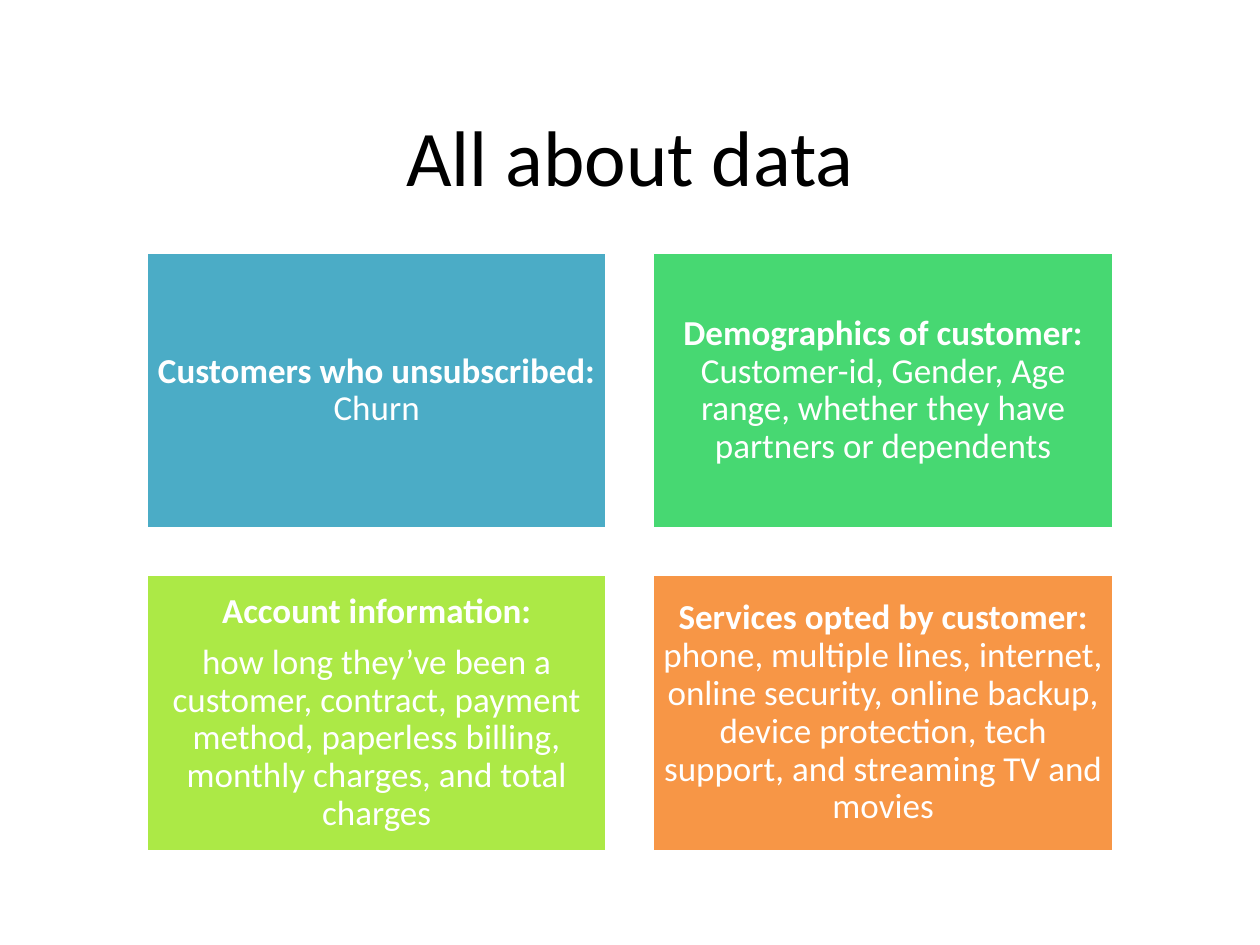
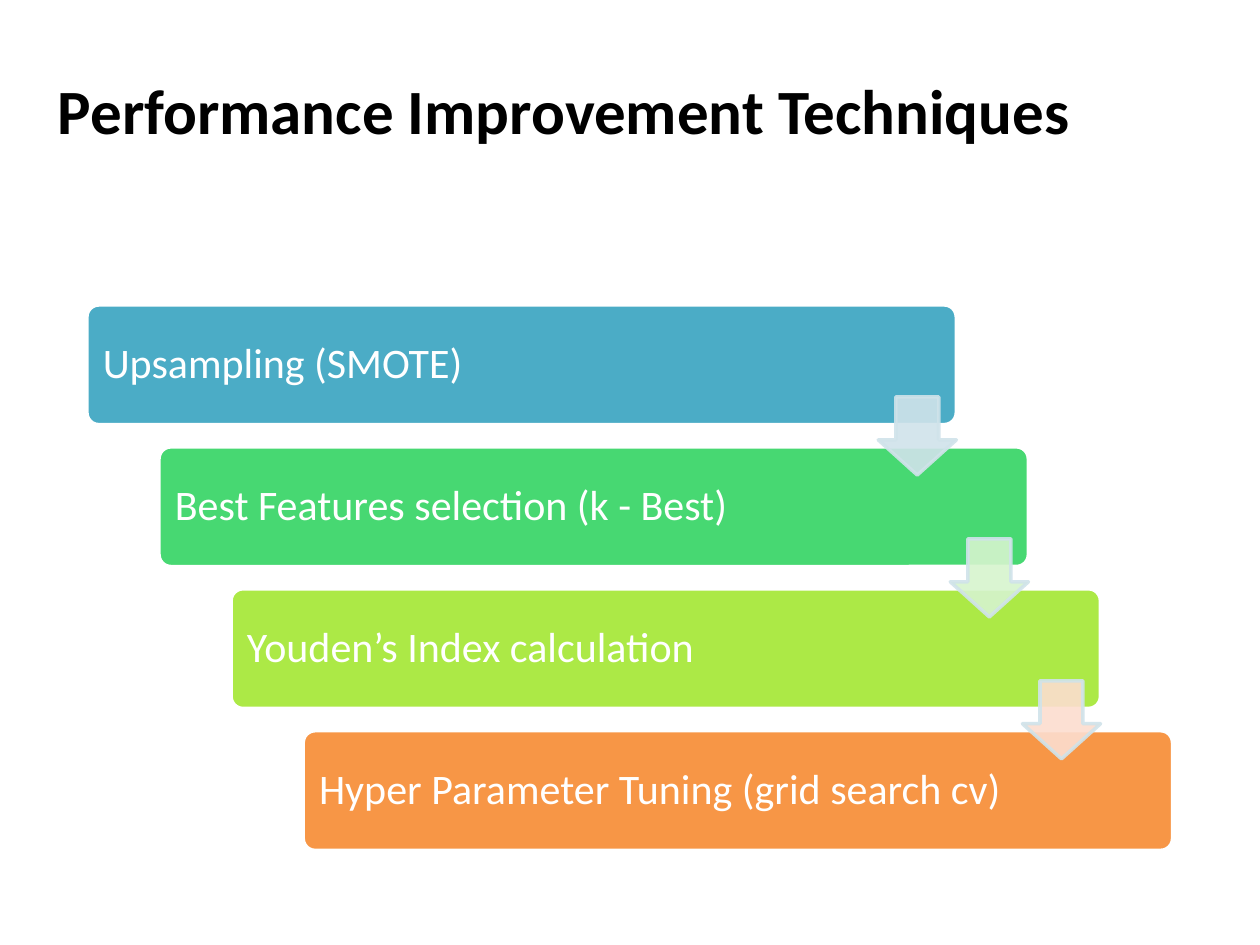
from lxml import etree
from pptx import Presentation
from pptx.dml.color import RGBColor
from pptx.enum.shapes import MSO_SHAPE
from pptx.enum.text import MSO_ANCHOR, PP_ALIGN
from pptx.oxml.ns import qn
from pptx.util import Pt

RECT, ROUNDED, ARROW = MSO_SHAPE.RECTANGLE, MSO_SHAPE.ROUNDED_RECTANGLE, MSO_SHAPE.DOWN_ARROW
LEFT, CENTER, MIDDLE = PP_ALIGN.LEFT, PP_ALIGN.CENTER, MSO_ANCHOR.MIDDLE

FONT, BLACK, WHITE = "Calibri", "000000", "FFFFFF"
ACCENTS = ["4BACC6", "47D872", "ACE946", "F79646"]
ARROW_FILLS, ARROW_LINE = ["D0E3EA", "D6F4CE", "FCDDCF"], "D0E3EA"
ARROW_OPACITY = 90

DATA_GROUPS = [
    [[("Customers who unsubscribed:", True), (" Churn", False)]],
    [[("Demographics of customer:", True),
      (" Customer-id, Gender, Age range, whether they have partners or dependents", False)]],
    [[("Account information:", True)],
     [("how long they’ve been a customer, contract, payment method, "
       "paperless billing, monthly charges, and total charges", False)]],
    [[("Services opted by customer:", True),
      (" phone, multiple lines, internet, online security, online backup, "
       "device protection, tech support, and streaming TV and movies", False)]],
]
TECHNIQUES = [
    "Upsampling (SMOTE)",
    "Best Features selection (k - Best)",
    "Youden’s Index calculation",
    "Hyper Parameter Tuning (grid search cv)",
]

TITLE_SIZE, TITLE_MARGINS = (620.64, 89.28), (9.36, 5.04)
CARD_ORIGIN, CARD_SIZE, CARD_GAP = (83.52, 144), (263.52, 158.4), 25.92
STEP_ORIGIN, STEP_SIZE, STEP_SHIFT = (49.68, 174.24), (496.8, 68.4), (41.2, 81.1)
ARROW_SIDE, ARROW_DROP = 44.64, 52.56


def color(value):
    return RGBColor.from_string(value)


def write(holder, paragraphs, size, ink, align, margins, line_spacing=1.0, space_after=0):
    frame = holder.text_frame
    across, down = margins
    frame_format = {
        "word_wrap": True, "vertical_anchor": MIDDLE,
        "margin_left": Pt(across), "margin_right": Pt(across),
        "margin_top": Pt(down), "margin_bottom": Pt(down),
    }
    for name, value in frame_format.items():
        setattr(frame, name, value)
    paragraph_format = {"alignment": align, "line_spacing": line_spacing,
                        "space_after": Pt(space_after)}
    for index, runs in enumerate(paragraphs):
        paragraph = frame.add_paragraph() if index else frame.paragraphs[0]
        for name, value in paragraph_format.items():
            setattr(paragraph, name, value)
        for text, bold in runs:
            run = paragraph.add_run()
            run.text = text
            for name, value in {"name": FONT, "size": Pt(size), "bold": bold}.items():
                setattr(run.font, name, value)
            run.font.color.rgb = color(ink)


def add_title(slide, text, left, top, size, bold, align):
    title = slide.shapes.add_textbox(Pt(left), Pt(top), *map(Pt, TITLE_SIZE))
    write(title, [[(text, bold)]], size, BLACK, align, TITLE_MARGINS)


def add_block(slide, kind, left, top, size, fill, line=WHITE, adjustments=()):
    block = slide.shapes.add_shape(kind, Pt(left), Pt(top), *map(Pt, size))
    block.shadow.inherit = False
    block.fill.solid()
    block.fill.fore_color.rgb = color(fill)
    block.line.color.rgb = color(line)
    block.line.width = Pt(2)
    for index, value in enumerate(adjustments):
        block.adjustments[index] = value
    return block


def set_opacity(block, percent):
    for tint in block.fill._xPr.iter(qn("a:srgbClr")):
        etree.SubElement(tint, qn("a:alpha")).set("val", str(percent * 1000))


deck = Presentation()
deck.slide_width, deck.slide_height = Pt(720), Pt(540)
blank = deck.slide_layouts[6]

data_slide = deck.slides.add_slide(blank)
add_title(data_slide, "All about data", 49.68, 43.92, 45, False, CENTER)
for index, (paragraphs, accent) in enumerate(zip(DATA_GROUPS, ACCENTS)):
    row, column = divmod(index, 2)
    left = CARD_ORIGIN[0] + column * (CARD_SIZE[0] + CARD_GAP)
    top = CARD_ORIGIN[1] + row * (CARD_SIZE[1] + CARD_GAP)
    card = add_block(data_slide, RECT, left, top, CARD_SIZE, accent)
    write(card, paragraphs, 20, WHITE, CENTER, (5.6, 5.6), 0.9, 7.4)

technique_slide = deck.slides.add_slide(blank)
add_title(technique_slide, "Performance Improvement Techniques", 23.76, 18, 36, True, LEFT)
positions = [(STEP_ORIGIN[0] + i * STEP_SHIFT[0], STEP_ORIGIN[1] + i * STEP_SHIFT[1])
             for i in range(len(TECHNIQUES))]
for technique, accent, (left, top) in zip(TECHNIQUES, ACCENTS, positions):
    step = add_block(technique_slide, ROUNDED, left, top, STEP_SIZE, accent, adjustments=[0.1])
    write(step, [[(technique, False)]], 24, WHITE, LEFT, (7.2, 7.2), 0.9)
for fill, (left, top) in zip(ARROW_FILLS, positions):
    arrow = add_block(technique_slide, ARROW, left + STEP_SIZE[0] - ARROW_SIDE, top + ARROW_DROP,
                      (ARROW_SIDE, ARROW_SIDE), fill, ARROW_LINE, [0.55, 0.45])
    set_opacity(arrow, ARROW_OPACITY)

deck.save("out.pptx")
